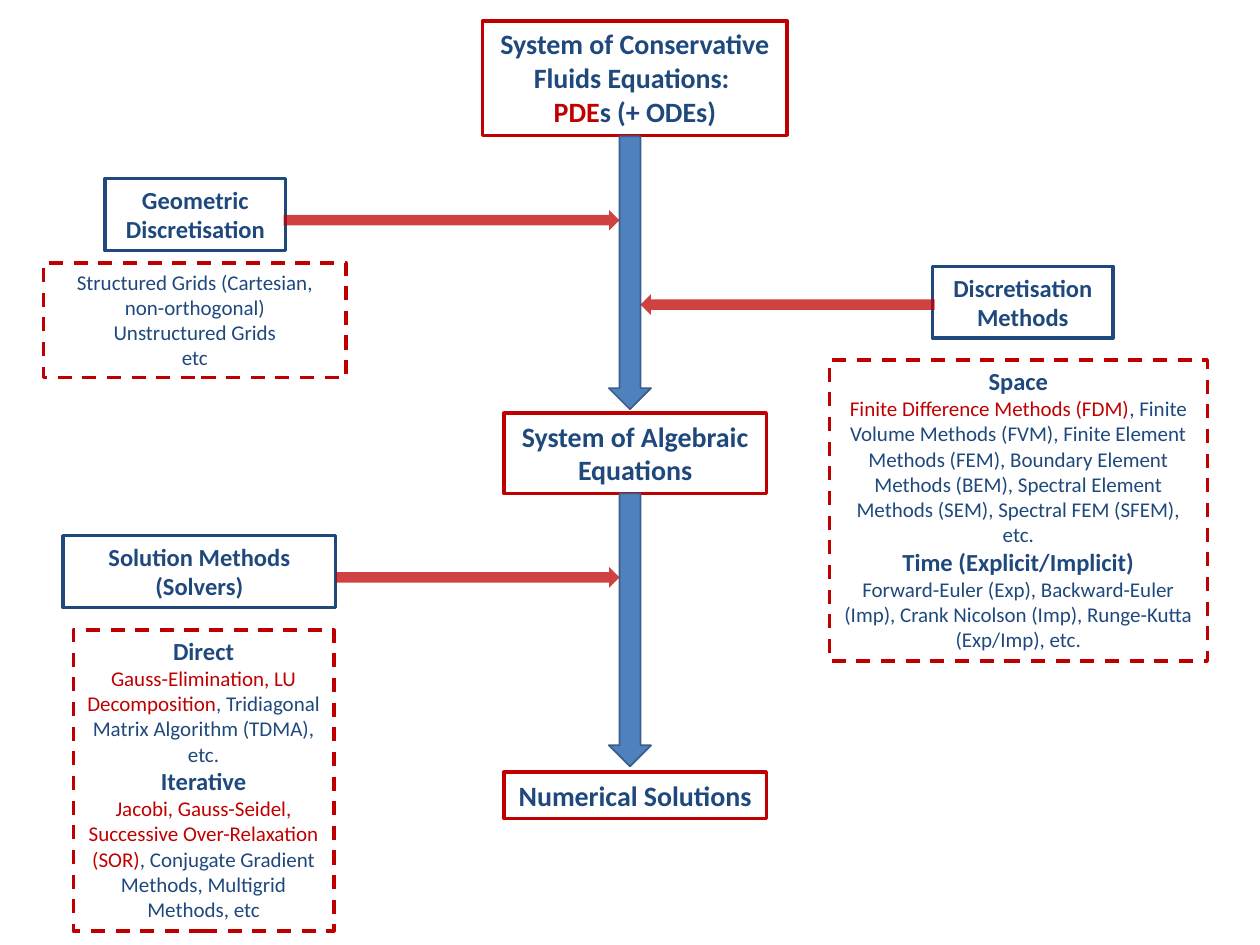
from dataclasses import dataclass

from lxml import etree
from pptx import Presentation
from pptx import util as u
from pptx.dml.color import RGBColor
from pptx.enum import dml, shapes, text
from pptx.oxml.ns import qn


@dataclass(frozen=True)
class Theme:
    font: str = "Calibri"
    navy: str = "1F497D"
    red: str = "C00000"
    blue: str = "4F81BD"
    blue_edge: str = "3A5F8C"
    stage_size: int = 16
    heading_size: int = 14
    detail_size: int = 12
    border: int = 2
    arrow_opacity: int = 74


THEME = Theme()
STAGE = dict(size=THEME.stage_size, bold=True)
HEADING = dict(size=THEME.heading_size, bold=True)
DETAIL = dict(size=THEME.detail_size, bold=False)

SHAFT_CENTRE = 12.7
FLOW_WIDTH, FLOW_LENGTH = 0.85, 5.5
INPUT_HEIGHT = 0.42

STAGES = [
    ((9.73, 0.42, 6.14, 2.31), [("", "System of Conservative Fluids Equations: ", STAGE),
                                ("PDE", "s (+ ODEs)", STAGE)]),
    ((10.16, 8.33, 5.29, 1.62), [("", "System of Algebraic Equations", STAGE)]),
    ((10.16, 15.56, 5.29, 0.94), [("", "Numerical Solutions", STAGE)]),
]
METHODS = [
    ((2.12, 3.6, 3.64, 1.45), [("", "Geometric Discretisation", HEADING)]),
    ((18.8, 5.37, 3.64, 1.45), [("", "Discretisation", HEADING), ("", "Methods", HEADING)]),
    ((1.27, 10.8, 5.5, 1.45), [("", "Solution Methods (Solvers)", HEADING)]),
]
DETAILS = [
    ((0.88, 5.3, 6.1, 2.31), [
        ("", "Structured Grids (Cartesian, non-orthogonal)", DETAIL),
        ("", "Unstructured Grids", DETAIL),
        ("", "etc", DETAIL)]),
    ((16.72, 7.26, 7.62, 6.07), [
        ("", "Space", HEADING),
        ("Finite Difference Methods (FDM)",
         ", Finite Volume Methods (FVM), Finite Element Methods (FEM), "
         "Boundary Element Methods (BEM), Spectral Element Methods (SEM), "
         "Spectral FEM (SFEM), etc.", DETAIL),
        ("", "Time (Explicit/Implicit)", HEADING),
        ("", "Forward-Euler (Exp), Backward-Euler (Imp), Crank Nicolson (Imp), "
             "Runge-Kutta (Exp/Imp), etc.", DETAIL)]),
    ((1.48, 12.7, 5.25, 6.07), [
        ("", "Direct", HEADING),
        ("Gauss-Elimination, LU Decomposition",
         ", Tridiagonal Matrix Algorithm (TDMA), etc.", DETAIL),
        ("", "Iterative", HEADING),
        ("Jacobi, Gauss-Seidel, Successive Over-Relaxation (SOR)",
         ", Conjugate Gradient Methods, Multigrid Methods, etc", DETAIL)]),
]
FLOW_TOPS = [2.75, 9.95]
INPUTS = [(6.77, 11.43), (5.72, 4.23), (18.84, 5.93)]


def add_run(paragraph, content, *, size, bold, color):
    run = paragraph.add_run()
    run.text = content
    run.font.name = THEME.font
    run.font.size = u.Pt(size)
    run.font.bold = bold
    run.font.color.rgb = RGBColor.from_string(color)


def add_preset(slide, preset, place):
    shape = slide.shapes.add_shape(preset, *(u.Cm(length) for length in place))
    shape.shadow.inherit = False
    return shape


def fill_solid(shape, color):
    shape.fill.solid()
    shape.fill.fore_color.rgb = RGBColor.from_string(color)


def set_line(shape, color, width):
    shape.line.color.rgb = RGBColor.from_string(color)
    shape.line.width = u.Pt(width)


def add_box(slide, place, paragraphs, *, border, dashed=False):
    shape = add_preset(slide, shapes.MSO_SHAPE.RECTANGLE, place)
    shape.fill.background()
    set_line(shape, border, THEME.border)
    if dashed:
        shape.line.dash_style = dml.MSO_LINE.DASH
    frame = shape.text_frame
    frame.word_wrap = True
    frame.auto_size = text.MSO_AUTO_SIZE.SHAPE_TO_FIT_TEXT
    frame.vertical_anchor = text.MSO_ANCHOR.TOP
    for index, (highlight, plain, style) in enumerate(paragraphs):
        paragraph = frame.add_paragraph() if index else frame.paragraphs[0]
        paragraph.alignment = text.PP_ALIGN.CENTER
        if highlight:
            add_run(paragraph, highlight, color=THEME.red, **style)
        add_run(paragraph, plain, color=THEME.navy, **style)


def add_flow_arrow(slide, top):
    place = (SHAFT_CENTRE - FLOW_WIDTH / 2, top, FLOW_WIDTH, FLOW_LENGTH)
    shape = add_preset(slide, shapes.MSO_SHAPE.DOWN_ARROW, place)
    fill_solid(shape, THEME.blue)
    set_line(shape, THEME.blue_edge, 1)


def add_input_arrow(slide, start, top):
    from_right = start > SHAFT_CENTRE
    tip = SHAFT_CENTRE + (FLOW_WIDTH / 4 if from_right else -FLOW_WIDTH / 4)
    place = (min(start, tip), top, abs(tip - start), INPUT_HEIGHT)
    shape = add_preset(slide, shapes.MSO_SHAPE.RIGHT_ARROW, place)
    shape.rotation = 180 if from_right else 0
    fill_solid(shape, THEME.red)
    color = shape.fill._xPr.find(qn("a:solidFill"))[0]
    etree.SubElement(color, qn("a:alpha"), val=str(THEME.arrow_opacity * 1000))
    shape.line.fill.background()


def main():
    presentation = Presentation()
    presentation.slide_width, presentation.slide_height = u.Cm(25.4), u.Cm(19.05)
    slide = presentation.slides.add_slide(presentation.slide_layouts[6])
    for place, paragraphs in STAGES:
        add_box(slide, place, paragraphs, border=THEME.red)
    for place, paragraphs in METHODS:
        add_box(slide, place, paragraphs, border=THEME.navy)
    for place, paragraphs in DETAILS:
        add_box(slide, place, paragraphs, border=THEME.red, dashed=True)
    for top in FLOW_TOPS:
        add_flow_arrow(slide, top)
    for start, top in INPUTS:
        add_input_arrow(slide, start, top)
    presentation.save("out.pptx")


if __name__ == "__main__":
    main()
